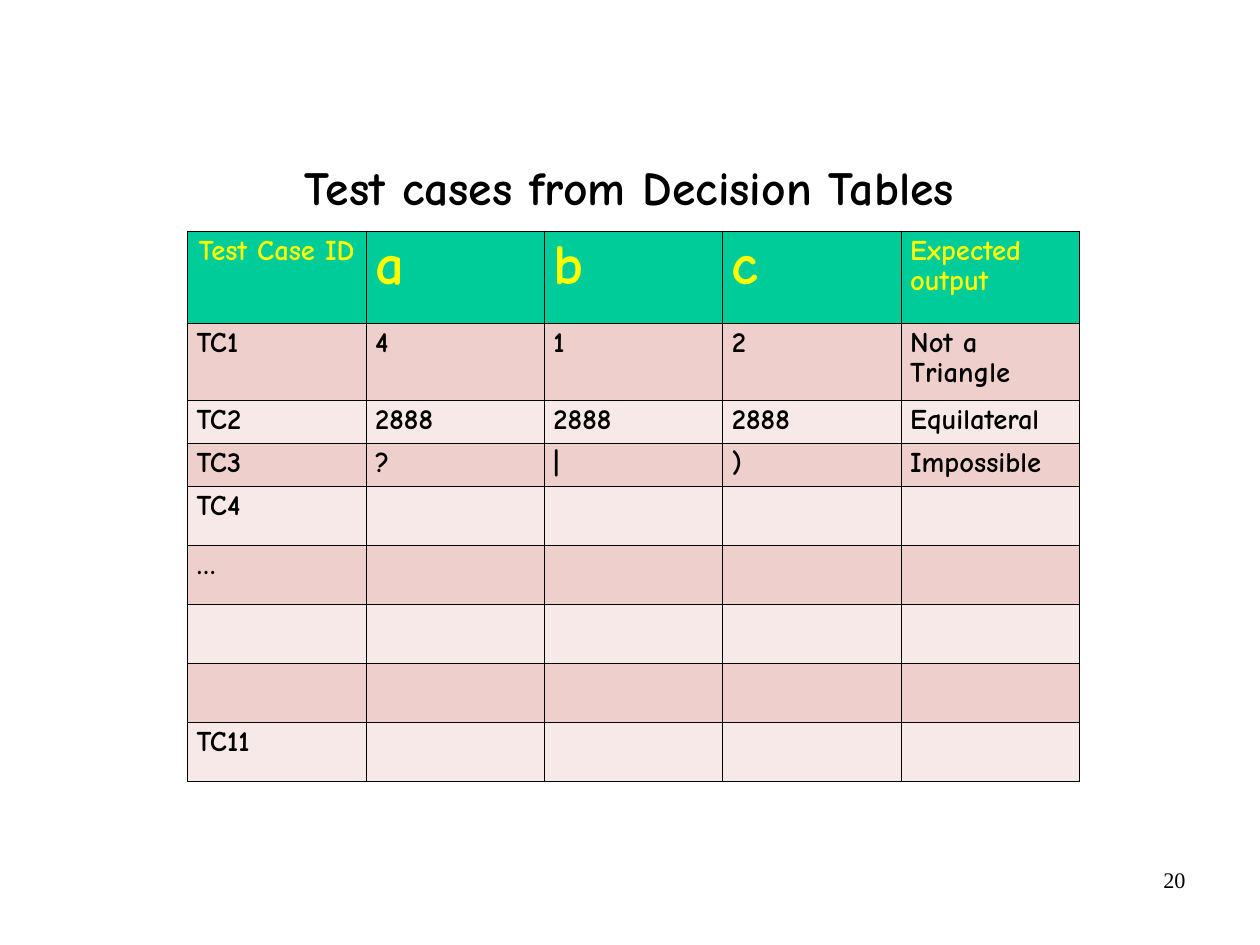
from lxml import etree
from pptx import Presentation
from pptx.dml.color import RGBColor
from pptx.enum.text import MSO_ANCHOR, PP_ALIGN
from pptx.oxml.ns import qn
from pptx.util import Cm, Pt

LEFT, MID, RIGHT = PP_ALIGN.LEFT, PP_ALIGN.CENTER, PP_ALIGN.RIGHT
TOP, LOW = MSO_ANCHOR.TOP, MSO_ANCHOR.BOTTOM
WIDE, HIGH = Cm(28), Cm(21)
HUES = {"ink": "000000", "head": "00CC99", "label": "FFFF00",
        "dark": "EFCFCC", "light": "F7E9E7"}
HAND, SERIF = "Comic Neue", "Times New Roman"
CASES = [
    ["Test Case ID", "a", "b", "c", "Expected output"],
    ["TC1", "4", "1", "2", "Not a Triangle"],
    ["TC2", "2888", "2888", "2888", "Equilateral"],
    ["TC3", "?", "|", ")", "Impossible"],
    ["TC4"], ["…"], [], [], ["TC11"],
]
COL = 14.16
ROWS = [9.75, 8.17] + [4.56] * 2 + [6.24] * 5


def x(cols):
    return round(WIDE * cols / 100)


def y(rows):
    return round(HIGH * rows / 100)


def hue(name):
    return RGBColor.from_string(HUES[name])


def write(frame, text, size=18, font=HAND, color="ink", bold=True,
          align=LEFT, lead=0.91):
    para = frame.paragraphs[0]
    para.alignment = align
    para.line_spacing = lead
    run = para.add_run()
    run.text = text
    run.font.size = Pt(size)
    run.font.name = font
    run.font.bold = bold
    run.font.color.rgb = hue(color)


def pad(area, left, top, low):
    area.margin_left = area.margin_right = x(left)
    area.margin_top, area.margin_bottom = y(top), y(low)


def label(slide, text, left, top, wide, high, inset, anchor=TOP, **style):
    frame = slide.shapes.add_textbox(x(left), y(top), x(wide), y(high)).text_frame
    frame.word_wrap = True
    frame.vertical_anchor = anchor
    pad(frame, *inset)
    write(frame, text, **style)


def edge(cell):
    props = cell._tc.get_or_add_tcPr()
    for side in ("lnL", "lnR", "lnT", "lnB"):
        line = etree.SubElement(props, qn(f"a:{side}"), w=str(Pt(0.45)))
        fill = etree.SubElement(line, qn("a:solidFill"))
        etree.SubElement(fill, qn("a:srgbClr"), val=HUES["ink"])


def paint(cell, color):
    edge(cell)
    cell.fill.solid()
    cell.fill.fore_color.rgb = hue(color)
    pad(cell, 0.73, 0.6, 0.6)


def style(row, col):
    if row:
        return {}
    return {"color": "label", "size": 36 if 0 < col < 4 else 18,
            "align": LEFT if col else MID}


def grid(slide, left, top):
    count = len(CASES[0])
    table = slide.shapes.add_table(len(CASES), count, x(left), y(top),
                                   x(COL * count), y(sum(ROWS))).table
    table.first_row = False
    table.horz_banding = False
    for col in table.columns:
        col.width = x(COL)
    for r, words in enumerate(CASES):
        table.rows[r].height = y(ROWS[r])
        shade = ("dark" if r % 2 else "light") if r else "head"
        for c in range(count):
            paint(table.cell(r, c), shade)
        for c, text in enumerate(words):
            write(table.cell(r, c).text_frame, text, **style(r, c))


def main():
    deck = Presentation()
    deck.slide_width = WIDE
    deck.slide_height = HIGH
    slide = deck.slides.add_slide(deck.slide_layouts[6])
    label(slide, "20", 71.69, 91.03, 23.32, 6.89, (0.91, 0.6, 0.6),
          size=14, font=SERIF, bold=False, align=RIGHT, lead=1.0)
    label(slide, "Test cases from Decision Tables", 16.22, 4.47, 67.49, 19.35,
          (0.73, 0.48, 0.97), anchor=LOW, size=30, align=MID, lead=0.88)
    grid(slide, 14.88, 24.43)
    deck.save("out.pptx")


if __name__ == "__main__":
    main()
